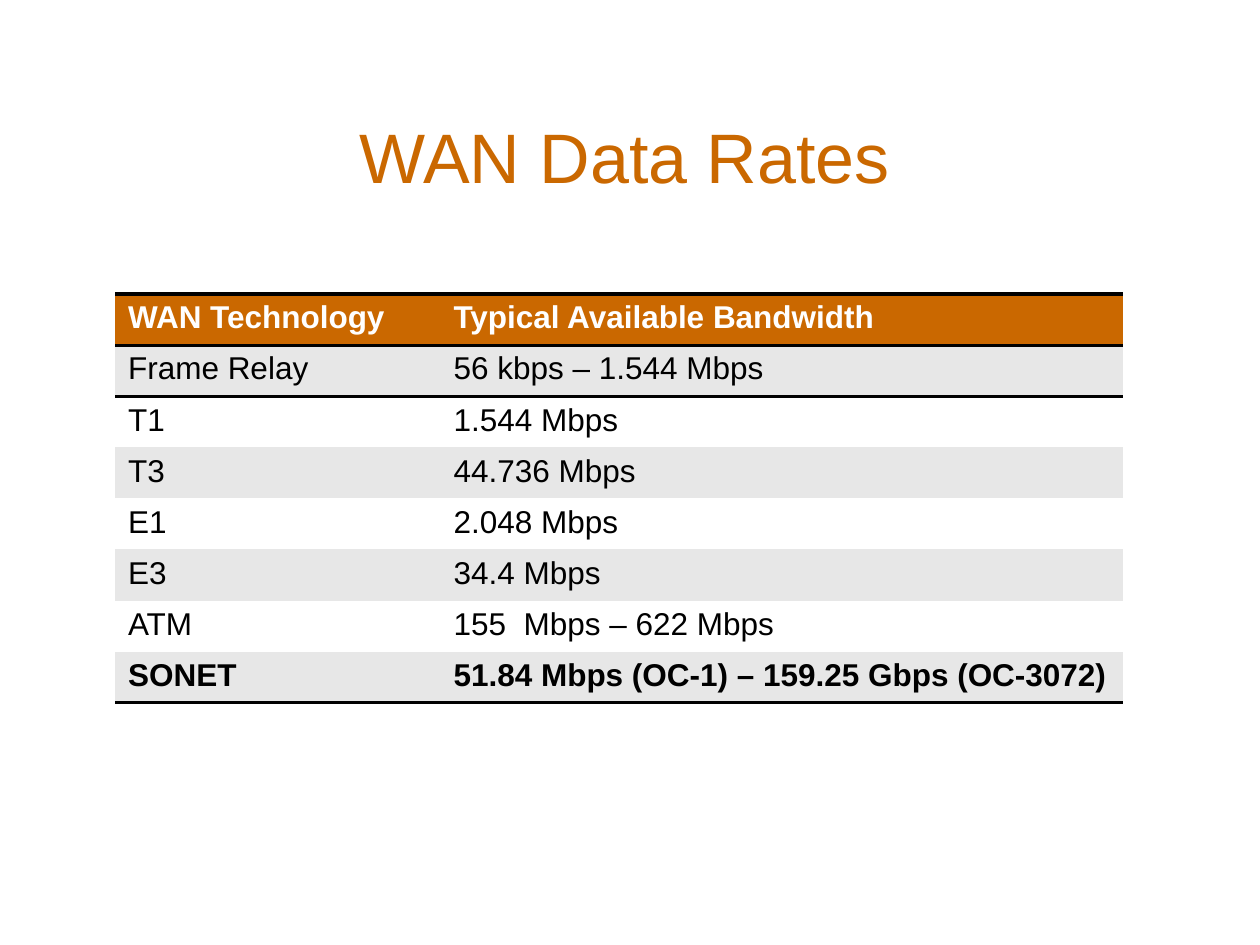
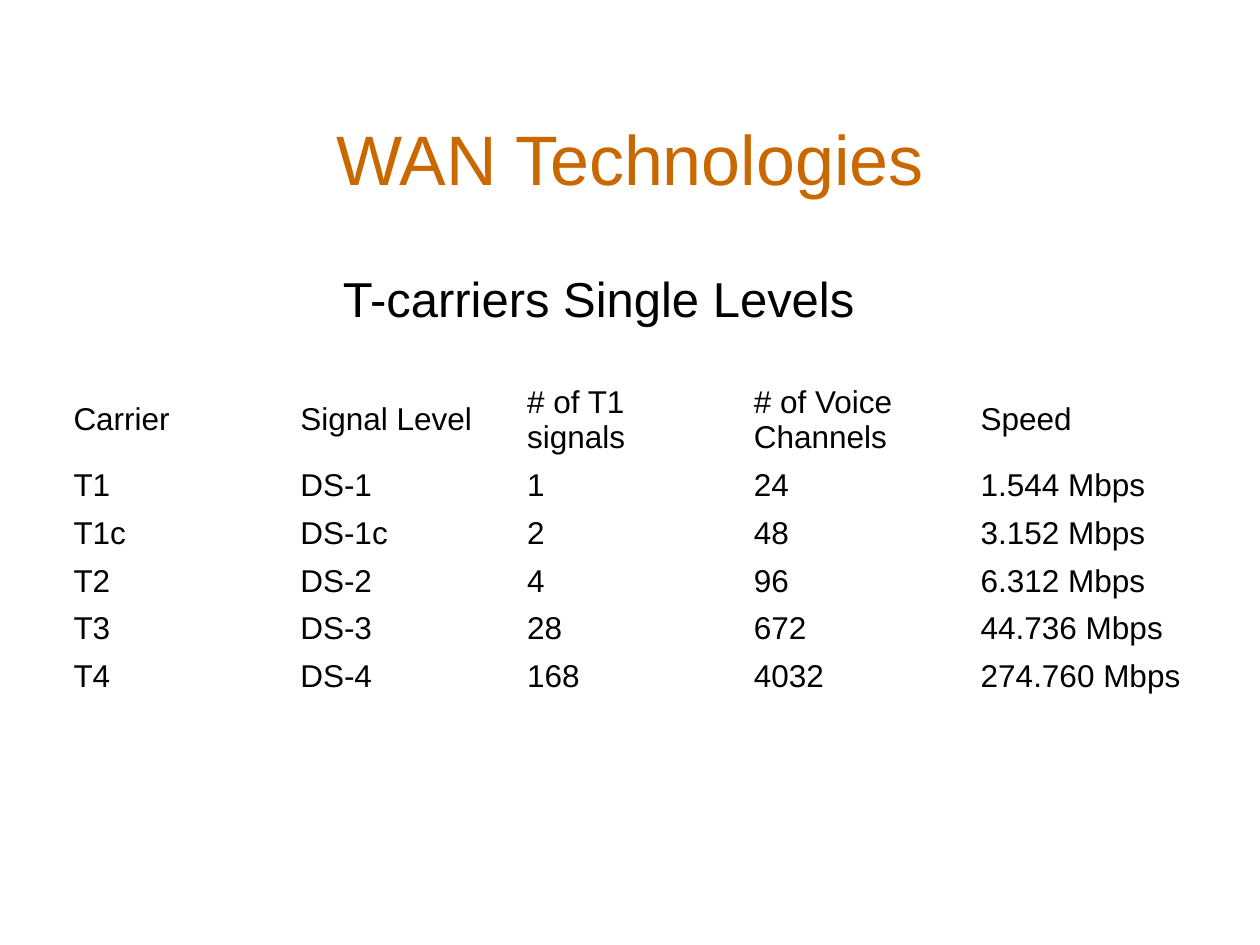
from pptx import Presentation
from pptx.dml.color import RGBColor
from pptx.enum.text import MSO_ANCHOR, PP_ALIGN
from pptx.oxml.ns import qn
from pptx.util import Pt
from lxml import etree

TOP, MID = MSO_ANCHOR.TOP, MSO_ANCHOR.MIDDLE
CENTER = PP_ALIGN.CENTER
FONT = "Arial"
PLAIN = "{2D5ABB26-0587-4C30-8999-92F81FD0307C}"  # no style, no grid
HEX = {"accent": "CA6800", "band": "E7E7E7", "white": "FFFFFF", "black": "000000"}


def style(frame, size, color, bold=False, align=None):
    for par in frame.paragraphs:
        par.alignment = align
        par.font.name = FONT
        par.font.size = Pt(size)
        par.font.bold = bold
        par.font.color.rgb = RGBColor.from_string(HEX[color])


def rule(cell, *sides):
    # Borders come before the fill in the cell properties
    props = cell._tc.get_or_add_tcPr()
    for spot, side in enumerate(sides):
        line = etree.Element(qn("a:" + side), w=str(Pt(2)))
        fill = etree.SubElement(line, qn("a:solidFill"))
        etree.SubElement(fill, qn("a:srgbClr"), val=HEX["black"])
        props.insert(spot, line)


prs = Presentation()
prs.slide_width, prs.slide_height = Pt(720), Pt(540)
layout = prs.slide_layouts[5]

rates = [
    ("WAN Technology", "Typical Available Bandwidth"),
    ("Frame Relay", "56 kbps – 1.544 Mbps"),
    ("T1", "1.544 Mbps"),
    ("T3", "44.736 Mbps"),
    ("E1", "2.048 Mbps"),
    ("E3", "34.4 Mbps"),
    ("ATM", "155  Mbps – 622 Mbps"),
    ("SONET", "51.84 Mbps (OC-1) – 159.25 Gbps (OC-3072)"),
]
levels = [
    ("Carrier", "Signal Level", "# of T1 signals", "# of Voice Channels", "Speed"),
    ("T1", "DS-1", "1", "24", "1.544 Mbps"),
    ("T1c", "DS-1c", "2", "48", "3.152 Mbps"),
    ("T2", "DS-2", "4", "96", "6.312 Mbps"),
    ("T3", "DS-3", "28", "672", "44.736 Mbps"),
    ("T4", "DS-4", "168", "4032", "274.760 Mbps"),
]

# Title, its box, rows, table corner, column widths, row heights, cell margin, anchor
pages = [
    ("WAN Data Rates", (33, 66, 648, 45.5), rates, (66, 168),
     [186, 390], [29.2] * 8, 3.6, TOP),
    ("WAN Technologies", (36, 54, 648, 72), levels, (34.8, 216),
     [129.6] * 5, [47.8] + [27.3] * 5, 3.3, MID),
]

for name, box, rows, corner, widths, heights, pad, anchor in pages:
    slide = prs.slides.add_slide(layout)

    # Title
    title = slide.shapes.title
    title.left, title.top, title.width, title.height = map(Pt, box)
    title.text_frame.text = name
    title.text_frame.vertical_anchor = MID
    style(title.text_frame, 40, "accent", align=CENTER)

    # Table grid
    size = sum(widths), sum(heights)
    table = slide.shapes.add_table(
        len(rows), len(widths), *map(Pt, corner + size)).table
    table._tbl.tblPr.find(qn("a:tableStyleId")).text = PLAIN
    table.first_row = table.horz_banding = False
    for col, width in zip(table.columns, widths):
        col.width = Pt(width)
    for row, height in zip(table.rows, heights):
        row.height = Pt(height)

    # Cells: only the rates table has a header band, stripes and rules
    last = len(rows) - 1
    for r, row in enumerate(rows):
        for c, text in enumerate(row):
            cell = table.cell(r, c)
            cell.text = text
            cell.vertical_anchor = anchor
            cell.margin_top = cell.margin_bottom = Pt(pad)
            fill, ink, bold = "white", "black", False
            if rows is rates:
                bold = r in (0, last)
                if r == 0:
                    fill, ink = "accent", "white"
                    rule(cell, "lnT", "lnB")
                elif r % 2:
                    fill = "band"
                if r == 1:
                    rule(cell, "lnT")
                if r == last:
                    rule(cell, "lnB")
            cell.fill.solid()
            cell.fill.fore_color.rgb = RGBColor.from_string(HEX[fill])
            style(cell.text_frame, 18, ink, bold)

# Caption above the carrier table
note = slide.shapes.add_textbox(Pt(96), Pt(150), Pt(492), Pt(41)).text_frame
note.word_wrap = True
note.text = "T-carriers Single Levels"
style(note, 28, "black", align=CENTER)

prs.save("out.pptx")
